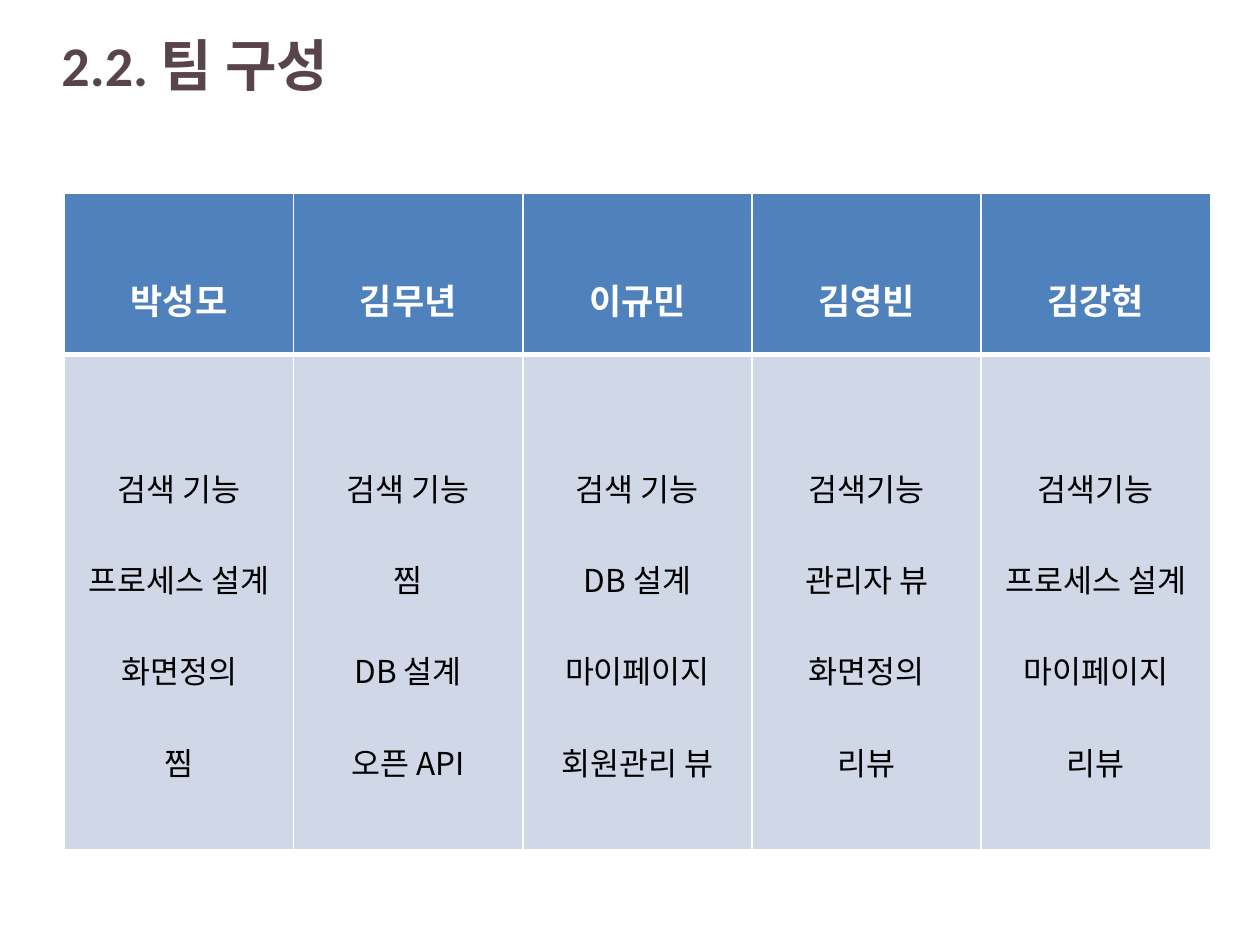
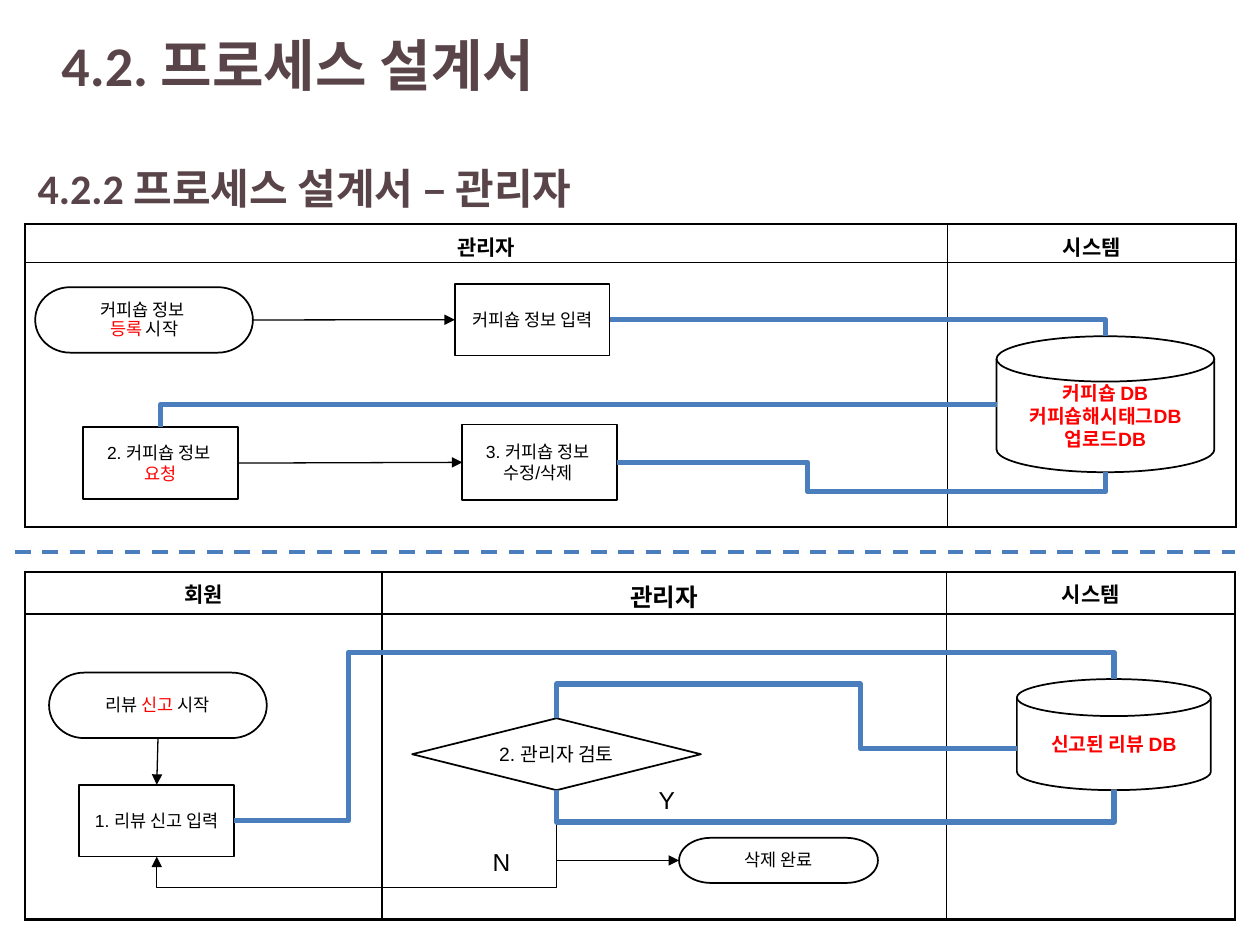
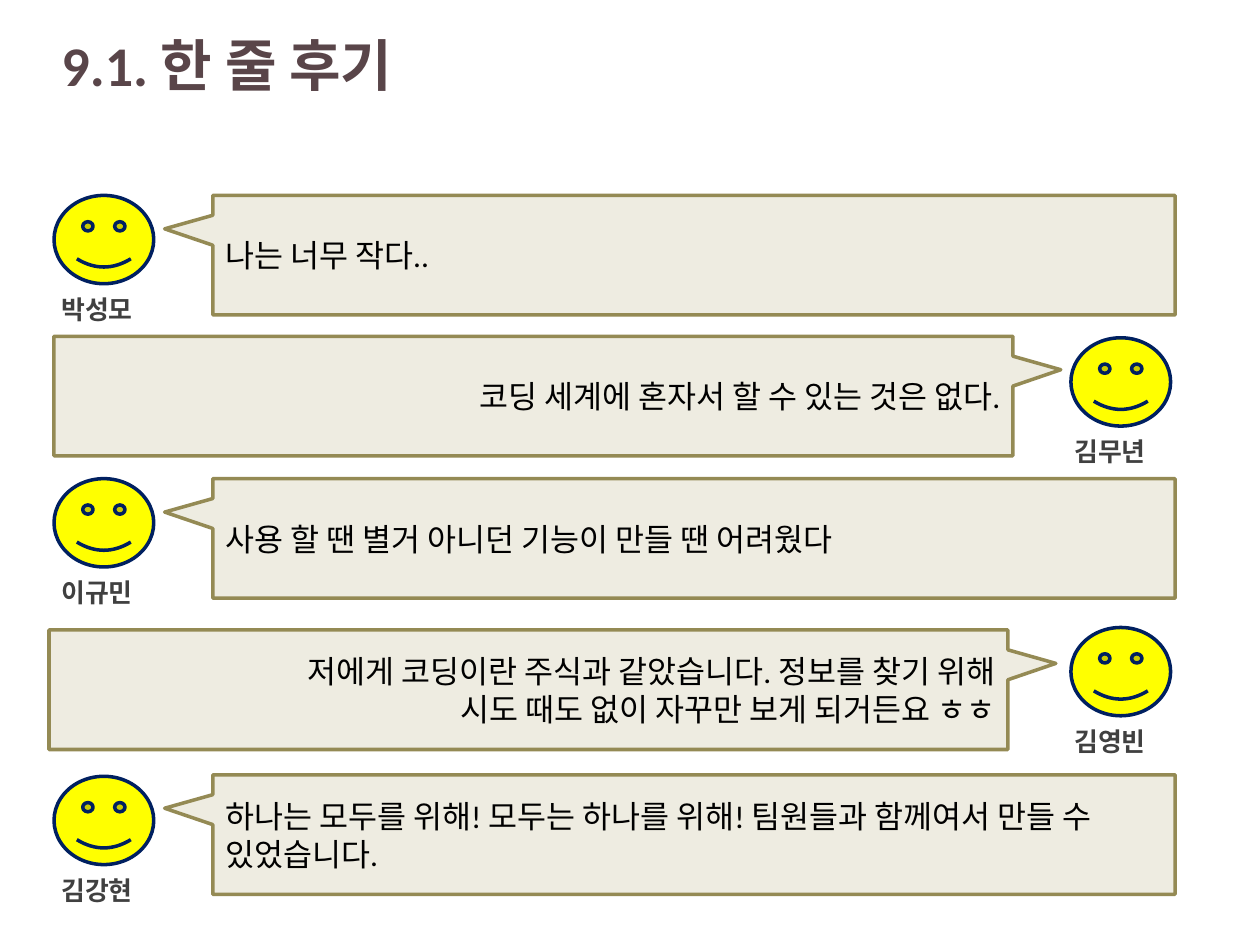
"""Builds three project report slides: team table, process charts and closing remarks."""
from lxml import etree
from pptx import Presentation
from pptx.dml.color import RGBColor
from pptx.enum import dml, shapes, text
from pptx.oxml.ns import qn
from pptx.util import Cm, Pt

BROWN = RGBColor(0x59, 0x45, 0x49)
BLACK = RGBColor(0, 0, 0)
WHITE = RGBColor(0xFF, 0xFF, 0xFF)
RED = RGBColor(0xFF, 0, 0)
GRAY = RGBColor(0x40, 0x40, 0x40)
BLUE = RGBColor(0x4F, 0x81, 0xBD)
PALE = RGBColor(0xD0, 0xD8, 0xE8)
ROUTE = RGBColor(0x4B, 0x7E, 0xBC)
YELLOW = RGBColor(0xFF, 0xFF, 0)
NAVY = RGBColor(0, 0x20, 0x60)
CREAM = RGBColor(0xEE, 0xEC, 0xE1)
OLIVE = RGBColor(0x94, 0x8A, 0x54)
LATIN, SANS, KOREAN = "Calibri", "Arial", "Noto Sans CJK KR"
SHAPE, ALIGN, ANCHOR = shapes.MSO_SHAPE, text.PP_ALIGN, text.MSO_ANCHOR
DISK, END = SHAPE.FLOWCHART_MAGNETIC_DISK, SHAPE.FLOWCHART_TERMINATOR
BOX, CHOICE = SHAPE.RECTANGLE, SHAPE.FLOWCHART_DECISION
PAD, CELL_PAD = (0.25, 0.13), (0.25, 0.13)

TEAM = {
    "박성모": ["검색 기능", "프로세스 설계", "화면정의", "찜"],
    "김무년": ["검색 기능", "찜", "DB 설계", "오픈 API"],
    "이규민": ["검색 기능", "DB 설계", "마이페이지", "회원관리 뷰"],
    "김영빈": ["검색기능", "관리자 뷰", "화면정의", "리뷰"],
    "김강현": ["검색기능", "프로세스 설계", "마이페이지", "리뷰"],
}

LANES = [
    ((0.51, 11.53), [7.19, 11.38, 5.82], [0.79, 6.15],
     [("회원", 12), ("관리자", 14), ("시스템", 12)], (1.5, 0.75, 1.5)),
    ((0.51, 4.52), [18.59, 5.82], [0.46, 5.33],
     [("관리자", 12), ("시스템", 12)], (1.5, 0.75, 0.75)),
]

STEPS = {
    "edit": (BOX, (9.32, 8.56, 3.12, 1.52), 10, [["3. 커피숍 정보 "], ["수정/삭제 "]]),
    "review": (CHOICE, (8.31, 14.48, 5.82, 1.45), 11, [["2. 관리자 검토"]]),
    "shop_db": (DISK, (20.09, 6.78, 4.39, 2.74), 11,
                [["커피숍 DB"], ["커피숍해시태그DB"], ["업로드DB"]]),
    "deleted": (END, (13.69, 16.89, 4.01, 0.91), 10, [["삭제 완료"]]),
    "register": (END, (0.71, 5.79, 4.39, 1.32), 10,
                 [["커피숍 정보 "], [("등록 ", RED), "시작"]]),
    "enter": (BOX, (9.17, 5.72, 3.12, 1.45), 10, [["커피숍 정보 입력"]]),
    "report": (END, (0.99, 13.56, 4.39, 1.32), 10, [["리뷰 ", ("신고 ", RED), "시작"]]),
    "report_db": (DISK, (20.5, 13.69, 3.91, 2.24), 11, [["신고된 리뷰 DB"]]),
    "report_form": (BOX, (1.6, 15.82, 3.12, 1.45), 10, [["1. 리뷰 신고 입력"]]),
    "request": (BOX, (1.68, 8.61, 3.12, 1.45), 10, [["2. 커피숍 정보 "], [("요청", RED)]]),
}

ARROWS = [("request", "r", "edit", "l"), ("register", "r", "enter", "l"),
          ("report", "b", "report_form", "t")]

ELBOWS = [
    ("review", "b", "report_form", "b", 90, "", 3, [1.47], False),
    ("review", "b", "deleted", "l", 270, "h", 2, [], False),
    ("enter", "r", "shop_db", "t", 0, "", 2, [], True),
    ("request", "t", "shop_db", "l", 90, "hv", 2, [], True),
    ("edit", "r", "shop_db", "b", 0, "", 4, [0.39, 2.96], True),
    ("report_form", "r", "report_db", "t", 0, "v", 4, [0.13, 1.19], True),
    ("review", "t", (20.5, 15.09), None, 270, "h", 4, [-1.13, 0.66], True),
    ("review", "b", "report_db", "b", 90, "hv", 3, [-63.5], True),
]

BRANCHES = [("Y", (13.03, 15.7, 0.97, 0.86)), ("N", (9.68, 16.94, 0.97, 0.86))]

REMARKS = [
    ("박성모", "나는 너무 작다..", 4.29, 3.94, 3.94),
    ("김무년", "코딩 세계에 혼자서 할 수 있는 것은 없다.", 1.09, 6.78, 6.81),
    ("이규민", "사용 할 땐 별거 아니던 기능이 만들 땐 어려웠다", 4.29, 9.65, 9.65),
    ("김영빈", "저에게 코딩이란 주식과 같았습니다. 정보를 찾기 위해\n"
            "시도 때도 없이 자꾸만 보게 되거든요 ㅎㅎ", 0.99, 12.7, 12.65),
    ("김강현", "하나는 모두를 위해! 모두는 하나를 위해! 팀원들과 함께여서 만들 수 있었습니다.",
     4.29, 15.62, 15.65),
]


def write(tf, paragraphs, size, color, bold=False, font=LATIN, align=ALIGN.LEFT, spacing=None):
    """Fill a text frame; each paragraph is a list of strings or (string, colour) pairs."""
    for i, runs in enumerate(paragraphs):
        p = tf.add_paragraph() if i else tf.paragraphs[0]
        p.alignment = align
        if spacing:
            p.line_spacing = spacing
        for run in runs:
            words, tint = (run, color) if isinstance(run, str) else run
            for n, line in enumerate(words.split("\n")):
                if n:
                    p.add_line_break()
                r = p.add_run()
                r.text = line
                r.font.size, r.font.bold, r.font.name = Pt(size), bold, font
                r.font.color.rgb = tint
                etree.SubElement(r.font._element, qn("a:ea"), typeface=KOREAN)


def frame(tf, pad=PAD, anchor=ANCHOR.MIDDLE):
    """Set wrapping, insets and anchor of a text frame."""
    tf.word_wrap, tf.vertical_anchor = True, anchor
    tf.margin_left = tf.margin_right = Cm(pad[0])
    tf.margin_top = tf.margin_bottom = Cm(pad[1])
    return tf


def add_label(s, box, words, size, color, bold=True, font=LATIN, anchor=ANCHOR.MIDDLE):
    """Add a one-paragraph text box."""
    sp = s.shapes.add_textbox(*map(Cm, box))
    write(frame(sp.text_frame, anchor=anchor), [[words]], size, color, bold, font)


def add_shape(s, kind, box, fill, line, width, flip=False, adjust=()):
    """Add a flat preset shape."""
    sp = s.shapes.add_shape(kind, *map(Cm, box))
    sp.shadow.inherit = False
    sp.fill.solid()
    sp.fill.fore_color.rgb = fill
    sp.line.color.rgb, sp.line.width = line, Pt(width)
    for i, value in enumerate(adjust):
        sp.adjustments[i] = value
    if flip:
        sp._element.spPr.xfrm.set("flipH", "1")
    return sp


def add_line(s, kind, start, end, color, width, arrow=False):
    """Add a connector without shadow."""
    c = s.shapes.add_connector(kind, *start, *end)
    c.line.color.rgb, c.line.width = color, Pt(width)
    if arrow:
        etree.SubElement(c.line._get_or_add_ln(), qn("a:tailEnd"), type="triangle")
    etree.SubElement(c._element.spPr, qn("a:effectLst"))
    return c


def add_grid(s, at, widths, heights, edges):
    """Add an unstyled table; edges are the outer, inner vertical and inner horizontal widths."""
    outer, upright, level = edges[:3]
    color = edges[3] if len(edges) > 3 else BLACK
    rows, cols = len(heights), len(widths)
    table = s.shapes.add_table(rows, cols, *map(Cm, (*at, sum(widths), sum(heights)))).table
    table.first_row = table.horz_banding = False
    for col, width in zip(table.columns, widths):
        col.width = Cm(width)
    for row, height in zip(table.rows, heights):
        row.height = Cm(height)
    for i in range(rows):
        for j in range(cols):
            cell = table.cell(i, j)
            cell.vertical_anchor = ANCHOR.MIDDLE
            cell.fill.background()
            sides = [("L", upright if j else outer),
                     ("R", upright if j < cols - 1 else outer),
                     ("T", level if i else outer),
                     ("B", level if i < rows - 1 else outer)]
            tcPr = cell._tc.get_or_add_tcPr()
            for n, (side, width) in enumerate(sides):
                ln = etree.Element(qn("a:ln" + side), w=str(Pt(width)))
                fill = etree.SubElement(ln, qn("a:solidFill"))
                etree.SubElement(fill, qn("a:srgbClr"), val=str(color))
                tcPr.insert(n, ln)
    return table


def set_cell(cell, paragraphs, size, color, bold, font, pad, spacing=None, fill=None):
    """Write centred text into a table cell."""
    cell.margin_left = cell.margin_right = Cm(pad[0])
    cell.margin_top = cell.margin_bottom = Cm(pad[1])
    if fill is not None:
        cell.fill.solid()
        cell.fill.fore_color.rgb = fill
    write(cell.text_frame, paragraphs, size, color, bold, font, ALIGN.CENTER, spacing)


def port(sp, side):
    """Return the middle of one side of a shape."""
    x, y = sp.left + sp.width // 2, sp.top + sp.height // 2
    return {"t": (x, sp.top), "l": (sp.left, y),
            "b": (x, sp.top + sp.height), "r": (sp.left + sp.width, y)}[side]


def site(sp, side):
    """Return the connection site number of a side."""
    return "tlbr".index(side) + (sp.auto_shape_type == DISK)


def add_elbow(s, nodes, a, a_side, b, b_side, turn, flip, bends, adjust, is_route):
    """Join two steps with a bent connector."""
    start = port(nodes[a], a_side)
    end = port(nodes[b], b_side) if b_side else tuple(map(Cm, b))
    c = add_line(s, shapes.MSO_CONNECTOR.ELBOW, start, end,
                 ROUTE if is_route else BLACK, 3 if is_route else 0.75, not is_route)
    c.begin_connect(nodes[a], site(nodes[a], a_side))
    if b_side:
        c.end_connect(nodes[b], site(nodes[b], b_side))
    w, h = (max(abs(m - n), Cm(0.01)) for m, n in zip(start, end))
    if turn:
        w, h = h, w
    c.left, c.top = (start[0] + end[0] - w) // 2, (start[1] + end[1] - h) // 2
    c.width, c.height = w, h
    xfrm = c._element.spPr.xfrm
    for key, name in (("h", "flipH"), ("v", "flipV")):
        xfrm.set(name, str(int(key in flip)))
    xfrm.set("rot", str(turn * 60000))
    geom = c._element.spPr.find(qn("a:prstGeom"))
    geom.set("prst", f"bentConnector{bends}")
    for n, value in enumerate(adjust, 1):
        etree.SubElement(geom.find(qn("a:avLst")), qn("a:gd"),
                         name=f"adj{n}" if len(adjust) > 1 else "adj1",
                         fmla=f"val {round(value * 100000)}")


def new_slide(prs, title):
    """Add a blank slide with the shared title."""
    s = prs.slides.add_slide(prs.slide_layouts[6])
    add_label(s, (0.99, 0.23, 23.39, 2.11), title, 32, BROWN)
    return s


def team_slide(prs):
    """Build the team table."""
    s = new_slide(prs, "2.2. 팀 구성")
    table = add_grid(s, (1.3, 3.89), [4.62] * len(TEAM), [3.25, 9.98], (1, 1, 3, WHITE))
    for j, (name, tasks) in enumerate(TEAM.items()):
        set_cell(table.cell(0, j), [[name]], 20, WHITE, True, KOREAN, (0.25, 0.25), 2.0, BLUE)
        set_cell(table.cell(1, j), [[task] for task in tasks], 18, BLACK, False, KOREAN,
                 (0.08, 0.05), 2.0, PALE)


def process_slide(prs):
    """Build the two process charts."""
    s = new_slide(prs, "4.2. 프로세스 설계서")
    for at, widths, heights, heads, edges in LANES:
        table = add_grid(s, at, widths, heights, edges)
        for j, (head, size) in enumerate(heads):
            set_cell(table.cell(0, j), [[head]], size, BLACK, True, LATIN, CELL_PAD)
    add_label(s, (0.51, 3.02, 18.8, 1.52), "4.2.2 프로세스 설계서 – 관리자", 24, BROWN)
    nodes = {}
    for key, (kind, box, size, lines) in STEPS.items():
        sp = nodes[key] = add_shape(s, kind, box, WHITE, BLACK, 1)
        is_db = kind == DISK
        write(frame(sp.text_frame, (0.1 if is_db else 0.05, 0)), lines, size,
              RED if is_db else BLACK, is_db, SANS, ALIGN.CENTER, 0.9 if kind == END else None)
    for words, box in BRANCHES:
        add_label(s, box, words, 14, BLACK, False, SANS, ANCHOR.TOP)
    straight = shapes.MSO_CONNECTOR.STRAIGHT
    for a, a_side, b, b_side in ARROWS:
        add_line(s, straight, port(nodes[a], a_side), port(nodes[b], b_side), BLACK, 0.75, True)
    for elbow in ELBOWS:
        add_elbow(s, nodes, *elbow)
    divider = add_line(s, straight, (Cm(0.3), Cm(11.13)), (Cm(24.89), Cm(11.13)), ROUTE, 2.25)
    divider.line.dash_style = dml.MSO_LINE.DASH


def remarks_slide(prs):
    """Build the speech bubbles with faces on alternating sides."""
    s = new_slide(prs, "9.1. 한 줄 후기")
    for i, (name, words, left, top, face_top) in enumerate(REMARKS):
        flip = i % 2 == 1
        face_left, name_left = (21.59, 21.41) if flip else (1.09, 0.99)
        add_shape(s, SHAPE.SMILEY_FACE, (face_left, face_top, 2.01, 1.78),
                  YELLOW, NAVY, 2, flip, [0.05])
        sp = add_shape(s, SHAPE.RECTANGULAR_CALLOUT, (left, top, 19.33 if flip else 19.4, 2.41),
                       CREAM, OLIVE, 2, flip, [-0.55, -0.22])
        write(frame(sp.text_frame), [[words]], 18, BLACK,
              align=ALIGN.RIGHT if flip else ALIGN.LEFT)
        add_label(s, (name_left, face_top + 1.85, 2.3, 0.86), name, 14.8, GRAY,
                  anchor=ANCHOR.TOP)


def main():
    """Build and save the deck."""
    prs = Presentation()
    prs.slide_width, prs.slide_height = Cm(25.4), Cm(19.05)
    team_slide(prs)
    process_slide(prs)
    remarks_slide(prs)
    prs.save("out.pptx")


if __name__ == "__main__":
    main()
